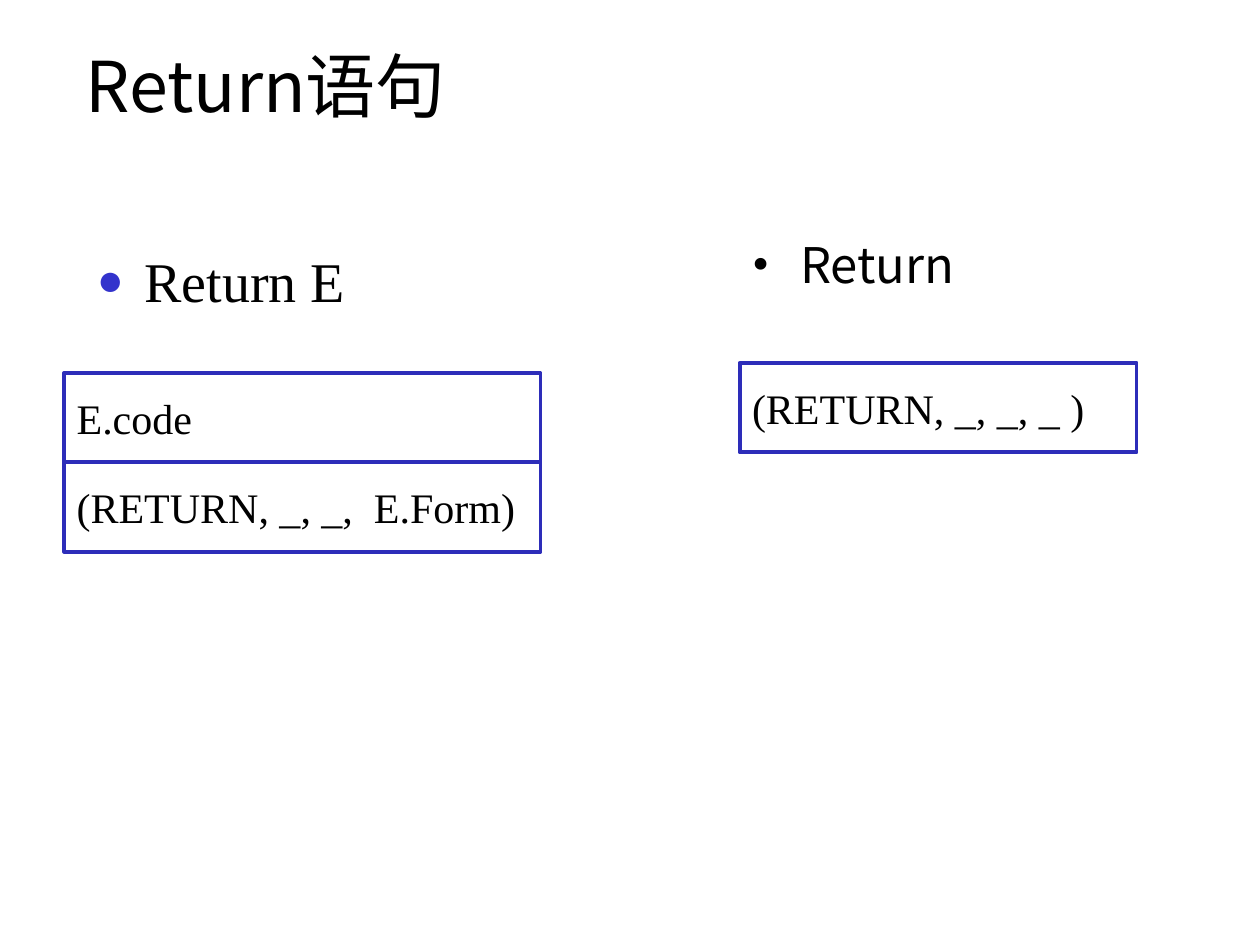
from pptx import Presentation
from pptx.dml.color import RGBColor as Rgb
from pptx.enum.shapes import MSO_SHAPE as Shape
from pptx.enum.text import MSO_ANCHOR as Anchor, PP_ALIGN as Align
from pptx.oxml.ns import qn
from pptx.util import Inches, Pt
from lxml.etree import SubElement as Sub

SANS = "Noto Sans CJK KR"
SERIF = "Times New Roman"
INK = "000000"
EDGE = "2D2DB9"
ROW = 0.71


def color(code):
    return Rgb.from_string(code)


def place(item, box):
    for name, val in zip(("left", "top", "width", "height"), box):
        setattr(item, name, Inches(val))


def write(frame, text, face, size, anchor, top=0.05):
    form = {
        "word_wrap": True,
        "vertical_anchor": anchor,
        "margin_left": Inches(0.1),
        "margin_right": Inches(0.1),
        "margin_top": Inches(top),
        "margin_bottom": Inches(0.05),
    }
    for name, val in form.items():
        setattr(frame, name, val)
    para = frame.paragraphs[0]
    para.alignment = Align.LEFT
    para.space_before = Pt(0)
    run = para.add_run()
    run.text = text
    for name, val in {"name": face, "size": Pt(size), "bold": False}.items():
        setattr(run.font, name, val)
    run.font.color.rgb = color(INK)
    Sub(run.font._element, qn("a:ea"), typeface=face)
    return para


def bullet(para, mark, tint, scale):
    props = para._p.get_or_add_pPr()
    props.set("marL", str(Inches(0.38)))
    props.set("indent", str(-Inches(0.38)))
    Sub(Sub(props, qn("a:buClr")), qn("a:srgbClr"), val=tint)
    Sub(props, qn("a:buSzPct"), val=str(scale * 1000))
    Sub(props, qn("a:buFont"), typeface=SERIF)
    Sub(props, qn("a:buChar"), char=mark)


def head(item, box, text):
    place(item, box)
    write(item.text_frame, text, SANS, 40, Anchor.MIDDLE)


def stack(slide, left, top, width, rows):
    for i, text in enumerate(rows):
        box = [Inches(n) for n in (left, top + i * ROW, width, ROW)]
        cell = slide.shapes.add_shape(Shape.RECTANGLE, *box)
        cell.shadow.inherit = False
        cell.fill.background()
        cell.line.color.rgb = color(EDGE)
        cell.line.width = Pt(2.25)
        write(cell.text_frame, text, SERIF, 24, Anchor.MIDDLE)


def value(slide, left, top):
    box = [Inches(n) for n in (left + 0.16, top, 2.36, 0.63)]
    label = slide.shapes.add_textbox(*box)
    para = write(label.text_frame, "Return E", SERIF, 32, Anchor.TOP, 0.1)
    bullet(para, "●", "3333CC", 80)
    stack(slide, left, top + 1.1, 3.78, ["E.code", "(RETURN, _, _,  E.Form)"])


def plain(slide, item, left, top):
    place(item, (left, top, 2.76, 0.55))
    para = write(item.text_frame, "Return", SANS, 28, Anchor.TOP)
    para.line_spacing = 0.9
    bullet(para, "•", INK, 100)
    stack(slide, left, top + 1.02, 3.15, ["(RETURN, _, _, _ )"])


def main():
    deck = Presentation()
    deck.slide_width = Inches(10)
    deck.slide_height = Inches(7.5)
    slide = deck.slides.add_slide(deck.slide_layouts[1])
    title, body = slide.placeholders
    head(title, (0.58, 0.17, 8.49, 1), "Return语句")
    value(slide, 0.51, 1.86)
    plain(slide, body, 5.87, 1.86)
    deck.save("out.pptx")


if __name__ == "__main__":
    main()
